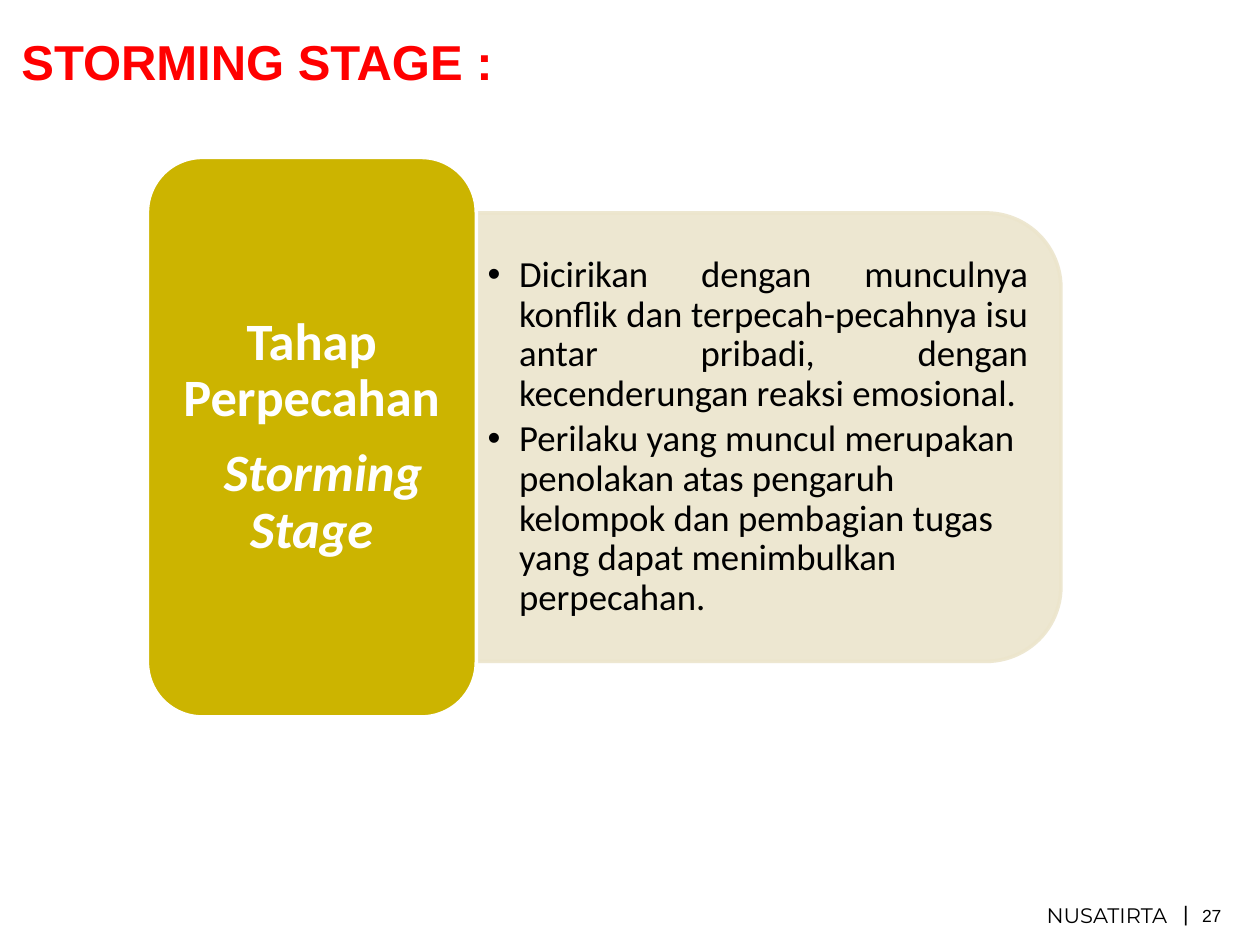
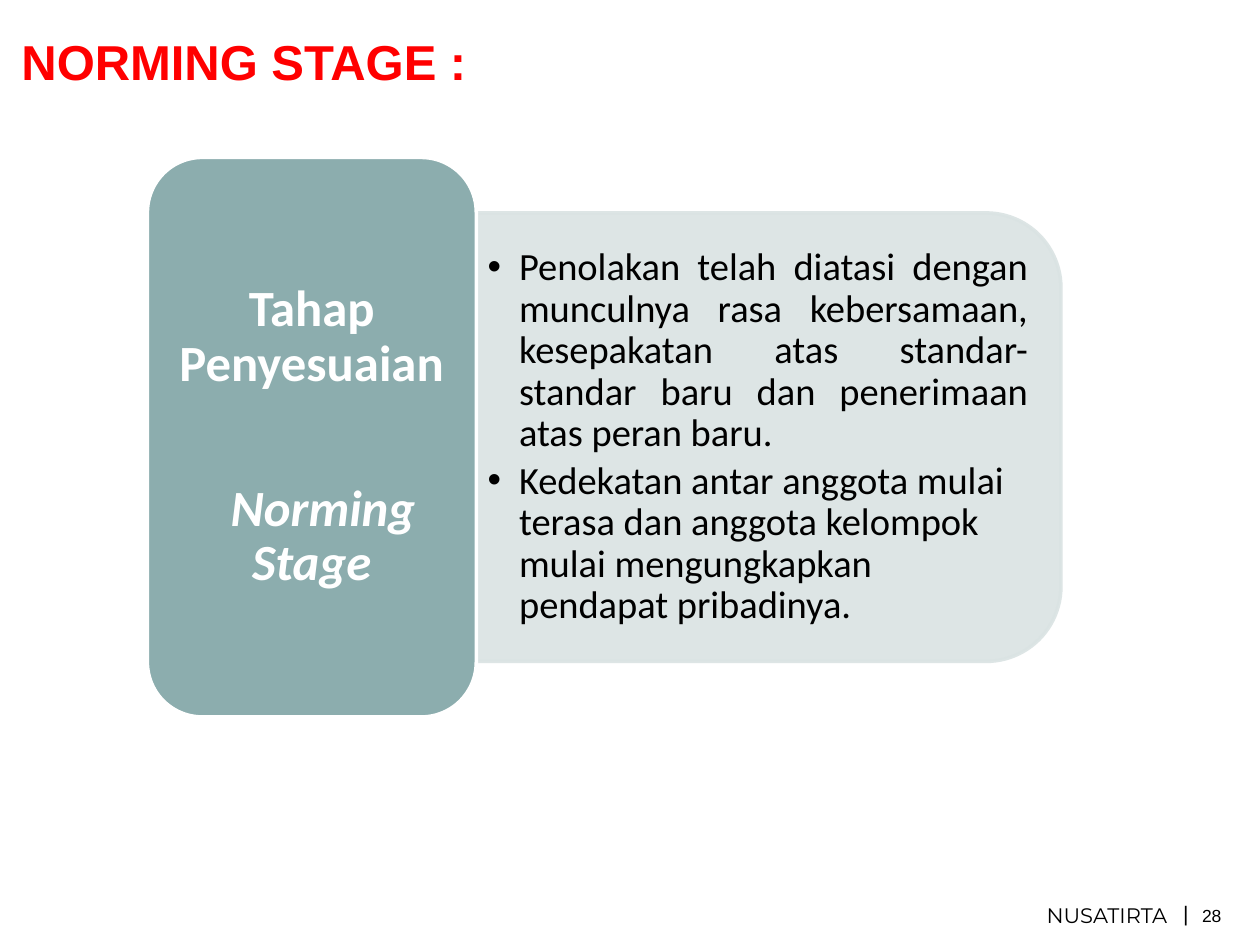
"""Build two slides on stages of group development."""
from collections import namedtuple
from dataclasses import dataclass

from lxml import etree
from pptx import Presentation
from pptx.dml.color import RGBColor
from pptx.enum import shapes, text
from pptx.oxml import ns
from pptx.util import Pt

Box = namedtuple("Box", "left top width height")
Stage = namedtuple("Stage", "title number label english gap label_size points body_size dark pale")


@dataclass(frozen=True)
class Theme:
    """Colours, fonts and type sizes shared by the slides."""
    red: str = "FF0000"
    black: str = "000000"
    white: str = "FFFFFF"
    heading_font: str = "Arial"
    body_font: str = "Calibri"
    brand_font: str = "Montserrat"
    title_size: float = 28
    footer_size: float = 12
    number_size: float = 10


THEME = Theme()
TITLE = Box(12.24, 18, 692.64, 33.84)
FOOTER = Box(583.92, 511.92, 118.8, 22.32)
DIAGRAM = Box(84.24, 90, 522, 319.68)
BRAND = "NUSATIRTA"

STAGES = [
    Stage("STORMING STAGE :", "27", "Tahap Perpecahan", "Storming Stage", 10.5, 30,
          ["Dicirikan dengan munculnya konflik dan terpecah-pecahnya isu antar pribadi, "
           "dengan kecenderungan reaksi emosional.",
           "Perilaku yang muncul merupakan penolakan atas pengaruh kelompok dan "
           "pembagian tugas yang dapat menimbulkan perpecahan."], 21, "CCB400", "ECE5CC"),
    Stage("NORMING STAGE :", "28", "Tahap Penyesuaian", "Norming Stage", 51.5, 29,
          ["Penolakan telah diatasi dengan munculnya rasa kebersamaan, kesepakatan atas "
           "standar-standar baru dan penerimaan atas peran baru.",
           "Kedekatan antar anggota mulai terasa dan anggota kelompok mulai "
           "mengungkapkan pendapat pribadinya."], 22, "8CADAE", "DAE3E3"),
]


def style(para, size, font, color, bold=False, italic=False):
    """Set the font of a whole paragraph."""
    para.font.size, para.font.name = Pt(size), font
    para.font.bold, para.font.italic = bold, italic
    para.font.color.rgb = RGBColor.from_string(color)


def add_text(page, box, lines, margins=(0, 0), anchor=text.MSO_ANCHOR.TOP, wrap=True):
    """Add a text box and return its paragraphs."""
    frame = page.shapes.add_textbox(*map(Pt, box)).text_frame
    frame.word_wrap, frame.vertical_anchor = wrap, anchor
    frame.margin_left = frame.margin_right = Pt(margins[0])
    frame.margin_top = frame.margin_bottom = Pt(margins[1])
    frame.text = "\n".join(lines)
    return frame.paragraphs


def add_panel(page, preset, box, fill, line):
    """Add a filled preset shape with a two-point outline."""
    panel = page.shapes.add_shape(preset, *map(Pt, box))
    panel.shadow.inherit = False
    panel.fill.solid()
    panel.fill.fore_color.rgb = RGBColor.from_string(fill)
    panel.line.color.rgb = RGBColor.from_string(line)
    panel.line.width = Pt(2)
    return panel


def indent(para, left, first):
    """Set the left margin and first-line indent of a paragraph."""
    props = para._p.get_or_add_pPr()
    props.set("marL", str(Pt(left)))
    props.set("indent", str(Pt(first)))
    return props


def add_title(page, box, title):
    """Write the slide title."""
    para, = add_text(page, box, [title])
    style(para, THEME.title_size, THEME.heading_font, THEME.red, bold=True)


def add_footer(page, box, number):
    """Write the company name, the divider and the slide number."""
    para, = add_text(page, Box(box.left, box.top, 97.2, box.height), [BRAND], (7.2, 3.6))
    para.alignment = text.PP_ALIGN.CENTER
    style(para, THEME.footer_size, THEME.brand_font, THEME.black)
    para, = add_text(page, Box(box.left + 92.16, box.top + 2.16, 2.88, 15.12), ["|"],
                     anchor=text.MSO_ANCHOR.MIDDLE, wrap=False)
    para.alignment = text.PP_ALIGN.RIGHT
    style(para, THEME.footer_size, THEME.heading_font, THEME.black)
    para, = add_text(page, Box(box.left + 102.96, box.top + 5.04, 15.84, 12.24), [number],
                     wrap=False)
    style(para, THEME.number_size, THEME.heading_font, THEME.black)


def add_description(page, box, stage):
    """Draw the pale panel, rounded on the right, with its bullets."""
    turned = Box(box.left + (box.width - box.height) / 2,
                 box.top + (box.height - box.width) / 2, box.height, box.width)
    panel = add_panel(page, shapes.MSO_SHAPE.ROUND_2_SAME_RECTANGLE, turned,
                      stage.pale, stage.pale)
    panel.rotation = 90
    for color in panel._element.spPr.iter(ns.qn("a:srgbClr")):
        etree.SubElement(color, ns.qn("a:alpha")).set("val", "90000")
    inner = Box(box.left, box.top + 12.6, box.width - 12.24, box.height - 25.2)
    paras = add_text(page, inner, stage.points, (6.48, 3.24), text.MSO_ANCHOR.MIDDLE)
    for para in paras:
        props = indent(para, 18, -18)
        etree.SubElement(props, ns.qn("a:buFont")).set("typeface", THEME.heading_font)
        etree.SubElement(props, ns.qn("a:buChar")).set("char", "•")
        para.line_spacing = 0.9
        style(para, stage.body_size, THEME.body_font, THEME.black)
    paras[0].alignment = text.PP_ALIGN.JUSTIFY
    paras[1].space_before = Pt(3.2)


def add_label(page, box, stage):
    """Draw the dark rounded panel with the names of the stage."""
    add_panel(page, shapes.MSO_SHAPE.ROUNDED_RECTANGLE, box, stage.dark, THEME.white)
    inner = Box(box.left + 9, box.top + 9, box.width - 18, box.height - 18)
    local, english = add_text(page, inner, [stage.label, stage.english], (8.64, 4.32),
                              text.MSO_ANCHOR.MIDDLE)
    indent(english, 0, 13)
    english.space_before = Pt(stage.gap)
    for para in (local, english):
        para.alignment, para.line_spacing = text.PP_ALIGN.CENTER, 0.9
        style(para, stage.label_size, THEME.body_font, THEME.white, True, para is english)


def add_diagram(page, box, stage):
    """Place the label panel beside its description."""
    label_width, inset = 187.92, 31.68
    add_description(page, Box(box.left + label_width, box.top + inset,
                              box.width - label_width, box.height - 2 * inset), stage)
    add_label(page, Box(box.left, box.top, label_width, box.height), stage)


def add_stage_slide(deck, stage):
    """Add one complete stage slide."""
    page = deck.slides.add_slide(deck.slide_layouts[6])
    page.background.fill.solid()
    page.background.fill.fore_color.rgb = RGBColor.from_string(THEME.white)
    add_footer(page, FOOTER, stage.number)
    add_title(page, TITLE, stage.title)
    add_diagram(page, DIAGRAM, stage)


def main():
    """Build and save the deck."""
    deck = Presentation()
    deck.slide_width, deck.slide_height = Pt(720), Pt(540)
    for stage in STAGES:
        add_stage_slide(deck, stage)
    deck.save("out.pptx")


if __name__ == "__main__":
    main()
